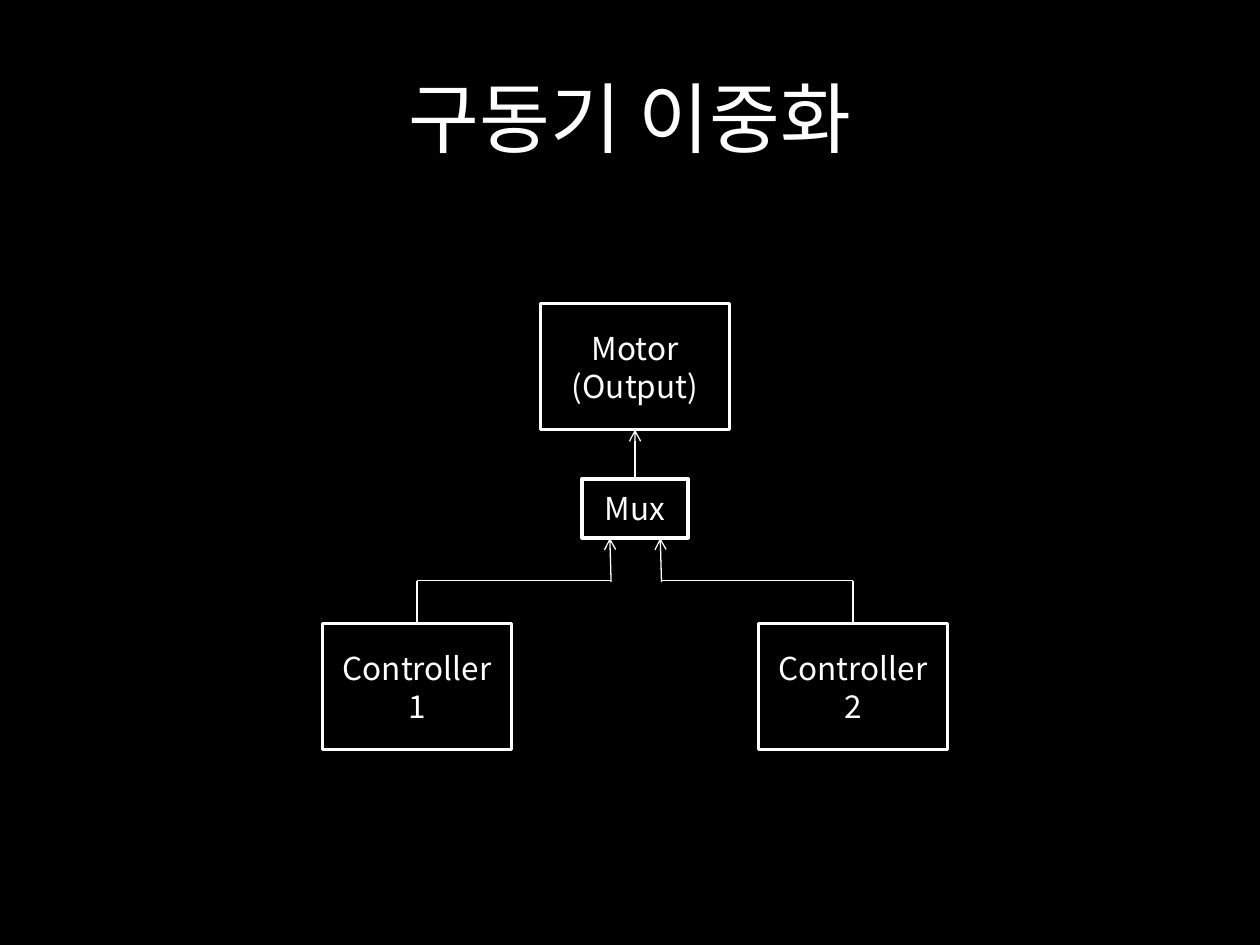
from dataclasses import dataclass

from lxml.etree import SubElement
from pptx import Presentation
from pptx.dml.color import RGBColor
from pptx.enum.shapes import MSO_CONNECTOR, MSO_SHAPE
from pptx.enum.text import MSO_ANCHOR, PP_ALIGN
from pptx.oxml.ns import qn
from pptx.slide import Slide
from pptx.text.text import TextFrame
from pptx.util import Inches, Pt


@dataclass(frozen=True)
class Theme:
    background: RGBColor = RGBColor(0, 0, 0)
    foreground: RGBColor = RGBColor(255, 255, 255)
    font: str = "Noto Sans CJK KR"
    title_size: int = 44
    body_size: int = 18
    box_line: float = 2
    wire_line: float = 0.75


@dataclass(frozen=True)
class Box:
    lines: tuple[str, ...]
    center: float
    top: float
    width: float = 1.5
    height: float = 1.0


@dataclass(frozen=True)
class Wire:
    start: tuple[float, float]
    end: tuple[float, float]
    arrow: bool = False


THEME = Theme()


def write_text(frame: TextFrame, lines: tuple[str, ...], size: int) -> None:
    frame.word_wrap = True
    frame.vertical_anchor = MSO_ANCHOR.MIDDLE
    frame.text = "\n".join(lines)
    font_format = {"name": THEME.font, "size": Pt(size)}
    for paragraph in frame.paragraphs:
        paragraph.alignment = PP_ALIGN.CENTER
        for run in paragraph.runs:
            run.font.color.rgb = THEME.foreground
            for name, value in font_format.items():
                setattr(run.font, name, value)
            # East Asian typeface for the Korean text
            SubElement(run.font._element, qn("a:ea"), typeface=THEME.font)


def draw_box(slide: Slide, box: Box) -> None:
    shape = slide.shapes.add_shape(
        MSO_SHAPE.RECTANGLE,
        Inches(box.center - box.width / 2), Inches(box.top),
        Inches(box.width), Inches(box.height),
    )
    shape.shadow.inherit = False
    shape.fill.solid()
    shape.fill.fore_color.rgb = THEME.background
    shape.line.color.rgb = THEME.foreground
    shape.line.width = Pt(THEME.box_line)
    write_text(shape.text_frame, box.lines, THEME.body_size)


def draw_wire(slide: Slide, wire: Wire) -> None:
    points = [Inches(value) for value in (*wire.start, *wire.end)]
    connector = slide.shapes.add_connector(MSO_CONNECTOR.STRAIGHT, *points)
    connector.line.color.rgb = THEME.foreground
    connector.line.width = Pt(THEME.wire_line)
    if wire.arrow:
        SubElement(connector.line._get_or_add_ln(), qn("a:tailEnd"), type="arrow")
    SubElement(connector._element.spPr, qn("a:effectLst"))


presentation = Presentation()
presentation.slide_width = Inches(10)
presentation.slide_height = Inches(7.5)
slide = presentation.slides.add_slide(presentation.slide_layouts[5])
slide.background.fill.solid()
slide.background.fill.fore_color.rgb = THEME.background

# Title
title = slide.shapes.title
title_place = {"left": 0.5, "top": 0.3, "width": 9, "height": 1.25}
for name, value in title_place.items():
    setattr(title, name, Inches(value))
write_text(title.text_frame, ("구동기 이중화",), THEME.title_size)

# Boxes, arranged around one vertical axis
axis, controller_offset = 5.04, 1.73
left_center, right_center = axis - controller_offset, axis + controller_offset
motor = Box(("Motor", "(Output)"), axis, 2.41)
mux = Box(("Mux",), axis, 3.8, 0.84, 0.47)
controller_1 = Box(("Controller 1",), left_center, 4.95)
controller_2 = Box(("Controller 2",), right_center, 4.95)
for box in (controller_2, controller_1, motor, mux):
    draw_box(slide, box)

# Wires from the controllers through the mux to the motor
mux_bottom = mux.top + mux.height
bend = 4.61
wires = [
    Wire((axis, mux.top), (axis, motor.top + motor.height), arrow=True),
]
for controller, inlet in ((controller_1, 4.84), (controller_2, 5.24)):
    wires += [
        Wire((inlet + 0.01, bend + 0.01), (inlet, mux_bottom), arrow=True),
        Wire((controller.center, bend), (inlet + 0.01, bend)),
        Wire((controller.center, controller.top), (controller.center, bend)),
    ]
for wire in wires:
    draw_wire(slide, wire)

presentation.save("out.pptx")
